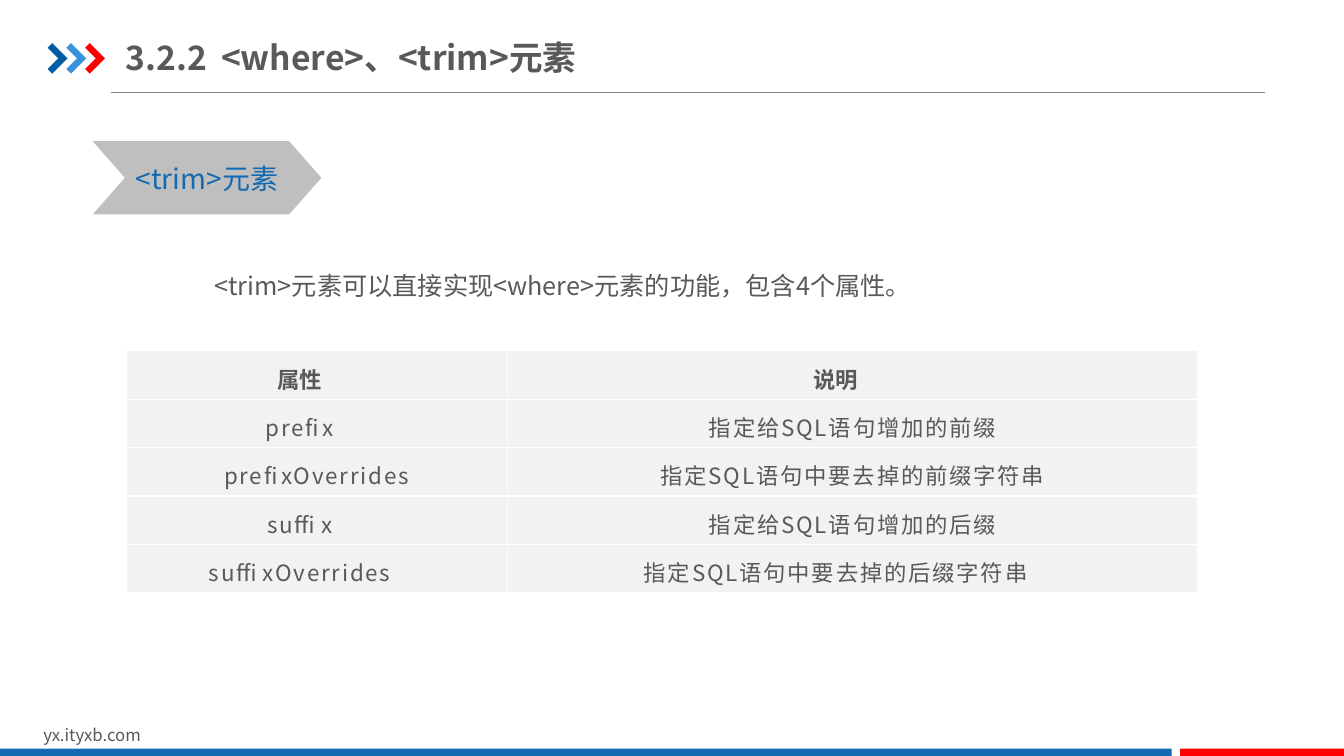
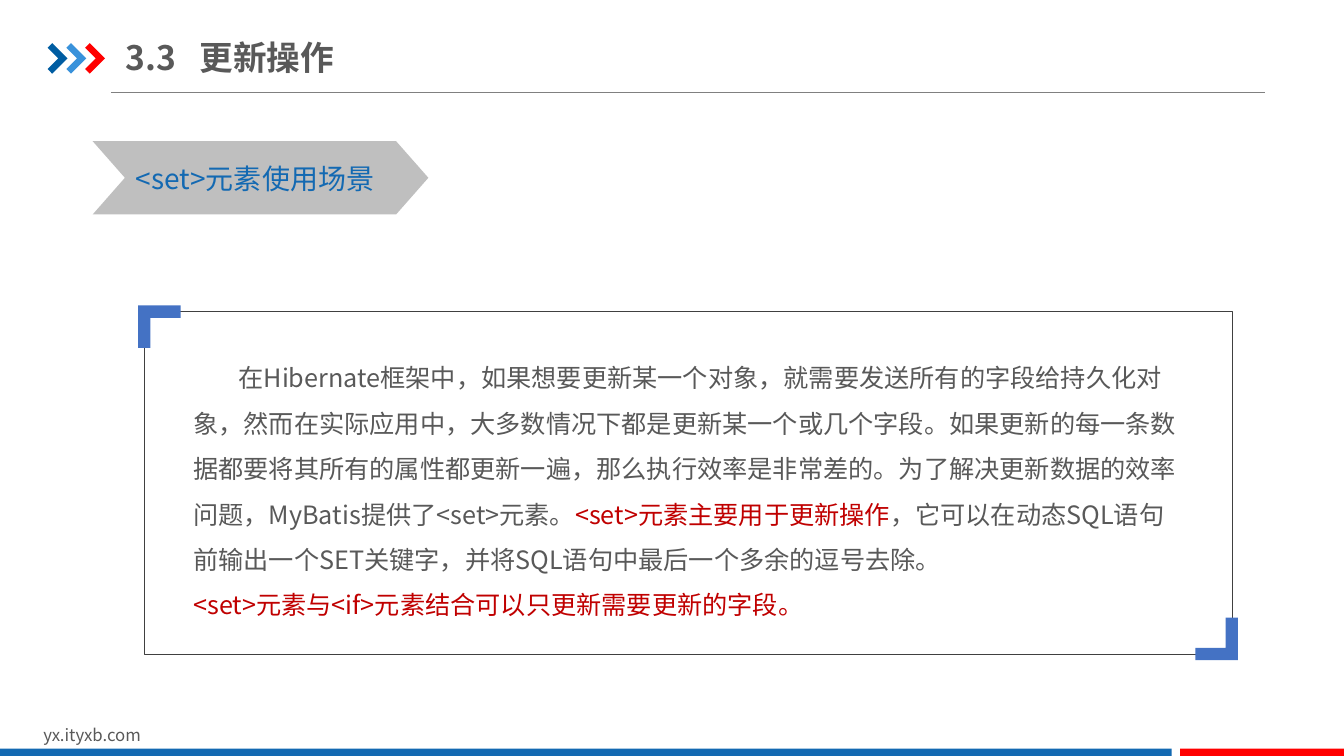
from lxml import etree
from pptx import Presentation
from pptx.dml.color import RGBColor
from pptx.enum import shapes, text
from pptx.oxml import ns
from pptx.util import Pt

FONT = "Noto Sans CJK SC"
GREY, BLUE, RED, DARK_RED, WHITE = "595959", "1369B2", "FF0000", "C00000", "FFFFFF"
PALE, TAG, RULE, FRAME, CORNER = "F2F2F2", "BFBFBF", "808080", "404040", "4472C4"
WIDTH, HEIGHT = 960, 540
INDENT = 32.3

TITLE = {"size": Pt(24), "bold": True}
TAG_LABEL = {"size": Pt(20)}
BODY = {"size": Pt(18)}
FOOTER = {"size": Pt(12)}
TABLE_HEAD = {"size": Pt(16), "bold": True}
TABLE_BODY = {"size": Pt(16), "bold": False}


def rgb(value):
    return RGBColor.from_string(value)


def set_all(target, values):
    for name, value in values.items():
        setattr(target, name, value)


def add_run(paragraph, words, style, color=GREY, spacing=None):
    run = paragraph.add_run()
    run.text = words
    set_all(run.font, {"name": FONT, **style})
    run.font.color.rgb = rgb(color)
    properties = run._r.get_or_add_rPr()
    etree.SubElement(properties, ns.qn("a:ea"), typeface=FONT)
    if spacing:
        properties.set("spc", str(round(spacing * 100)))


def add_text_box(slide, box, frame_format=None):
    frame = slide.shapes.add_textbox(*map(Pt, box)).text_frame
    set_all(frame, {"word_wrap": True, **(frame_format or {})})
    return frame


def paint(shape, fill=None, line=None, line_width=0.25):
    shape.shadow.inherit = False
    if fill:
        shape.fill.solid()
        shape.fill.fore_color.rgb = rgb(fill)
    else:
        shape.fill.background()
    if line:
        shape.line.color.rgb = rgb(line)
        shape.line.width = Pt(line_width)
    else:
        shape.line.fill.background()


def add_preset(slide, kind, box, **colors):
    shape = slide.shapes.add_shape(kind, *map(Pt, box))
    paint(shape, **colors)
    return shape


def add_polygon(slide, points, fill):
    first, *rest = [(Pt(x), Pt(y)) for x, y in points]
    builder = slide.shapes.build_freeform(*first, scale=1.0)
    builder.add_line_segments(rest, close=True)
    paint(builder.convert_to_shape(), fill)


def add_header(slide, number, name, name_offset):
    """Three arrows, a rule and a title whose name starts at a tab stop."""
    arrow = [(0, 3.3), (3.3, 0), (14.3, 10.9), (3.3, 21.8), (0, 18.5), (7.6, 10.9)]
    for index, color in enumerate(("005DA2", "3992DB", RED)):
        left, top = 34 + 13.4 * index, 30.8
        add_polygon(slide, [(left + x, top + y) for x, y in arrow], color)

    rule = slide.shapes.add_connector(
        shapes.MSO_CONNECTOR.STRAIGHT, Pt(79.2), Pt(65.8), Pt(903.6), Pt(65.8))
    rule.line.color.rgb = rgb(RULE)
    rule.line.width = Pt(0.5)
    etree.SubElement(rule._element.spPr, ns.qn("a:effectLst"))

    frame = add_text_box(slide, (90, 20.9, 814, 39.6), {
        "margin_left": 0, "margin_right": 0, "margin_top": Pt(5),
        "margin_bottom": Pt(5), "vertical_anchor": text.MSO_ANCHOR.MIDDLE})
    paragraph = frame.paragraphs[0]
    tabs = etree.SubElement(paragraph._p.get_or_add_pPr(), ns.qn("a:tabLst"))
    etree.SubElement(tabs, ns.qn("a:tab"), pos=str(Pt(name_offset)), algn="l")
    add_run(paragraph, f"{number}\t{name}", TITLE)


def add_footer(slide):
    frame = add_text_box(slide, (23.8, 514.1, 229, 21.8))
    add_run(frame.paragraphs[0], "yx.ityxb.com", FOOTER)
    band_top, red_left, gap = 534.8, 843, 6
    for left, right, color in ((0, red_left - gap, BLUE), (red_left, WIDTH, RED)):
        add_preset(slide, shapes.MSO_SHAPE.RECTANGLE,
                   (left, band_top, right - left, HEIGHT - band_top), fill=color)


def add_tag(slide, label, width):
    left, top, height = 66.2, 100.8, 52.4
    chevron = add_preset(slide, shapes.MSO_SHAPE.CHEVRON,
                         (left, top, width, height), fill=TAG)
    chevron.adjustments[0] = 0.44
    frame = add_text_box(slide, (left + 23.8, top + 10.8, width - 36, 31.7))
    add_run(frame.paragraphs[0], label, TAG_LABEL, BLUE)


def add_body(slide, box, paragraphs):
    """Each paragraph is a first-line indent and a list of (words, colour)."""
    frame = add_text_box(slide, box)
    for index, (indent, runs) in enumerate(paragraphs):
        paragraph = frame.add_paragraph() if index else frame.paragraphs[0]
        paragraph.line_spacing = 1.5
        paragraph._p.get_or_add_pPr().set("indent", str(Pt(indent)))
        for words, color in runs:
            add_run(paragraph, words, BODY, color)


def add_cell_borders(cell, color):
    properties = cell._tc.get_or_add_tcPr()
    for position, edge in enumerate(("lnL", "lnR", "lnT", "lnB")):
        line = etree.Element(ns.qn(f"a:{edge}"), w=str(Pt(1)))
        fill = etree.SubElement(line, ns.qn("a:solidFill"))
        etree.SubElement(fill, ns.qn("a:srgbClr"), val=color)
        properties.insert(position, line)


def add_attribute_table(slide, box, column_widths, rows):
    """Rows hold (words, is_shifted) cells; shifted ones sit left of centre."""
    table = slide.shapes.add_table(
        len(rows), len(column_widths), *map(Pt, box)).table
    set_all(table, {"first_row": False, "horz_banding": False})
    for column, width in zip(table.columns, column_widths):
        column.width = Pt(width)
    for row_index, row in enumerate(rows):
        for column_index, (words, is_shifted) in enumerate(row):
            cell = table.cell(row_index, column_index)
            set_all(cell, {
                "margin_left": Pt(25), "margin_right": Pt(49 if is_shifted else 25),
                "margin_top": 0, "margin_bottom": 0,
                "vertical_anchor": text.MSO_ANCHOR.MIDDLE})
            cell.fill.solid()
            cell.fill.fore_color.rgb = rgb(PALE)
            add_cell_borders(cell, WHITE)
            paragraph = cell.text_frame.paragraphs[0]
            set_all(paragraph, {"alignment": text.PP_ALIGN.CENTER,
                                "line_spacing": 1.2})
            if row_index:
                add_run(paragraph, words, TABLE_BODY, spacing=1.3)
            else:
                add_run(paragraph, words, TABLE_HEAD)


def add_corner_frame(slide, box):
    """An outlined box with a bracket on its top left and bottom right."""
    left, top, width, height = box
    add_preset(slide, shapes.MSO_SHAPE.RECTANGLE, box, line=FRAME)
    arm, thick, overhang = 30.4, 8.8, 4.3
    bracket = [(0, 0), (arm, 0), (arm, thick), (thick, thick), (thick, arm), (0, arm)]
    for x, y, sign in ((left - overhang, top - overhang, 1),
                       (left + width + overhang, top + height + overhang, -1)):
        add_polygon(slide, [(x + sign * dx, y + sign * dy) for dx, dy in bracket], CORNER)


def add_slide(presentation, number, name, name_offset, tag, tag_width):
    slide = presentation.slides.add_slide(presentation.slide_layouts[6])
    add_header(slide, number, name, name_offset)
    add_footer(slide)
    add_tag(slide, tag, tag_width)
    return slide


def add_trim_slide(presentation):
    slide = add_slide(presentation, "3.2.2", "<where>、<trim>元素", 68,
                      "<trim>元素", 163.4)
    add_body(slide, (113.8, 178.6, 741.6, 40), [
        (INDENT, [("<trim>元素可以直接实现<where>元素的功能，包含4个属性。", GREY)])])
    add_attribute_table(slide, (90, 250.6, 765.6, 172.8), (272.4, 493.2), [
        (("属性", True), ("说明", True)),
        (("prefix", True), ("指定给SQL语句增加的前缀", False)),
        (("prefixOverrides", False), ("指定SQL语句中要去掉的前缀字符串", False)),
        (("suffix", True), ("指定给SQL语句增加的后缀", False)),
        (("suffixOverrides", True), ("指定SQL语句中要去掉的后缀字符串", True)),
    ])


def add_set_slide(presentation):
    slide = add_slide(presentation, "3.3", "更新操作", 52.5,
                      "<set>元素使用场景", 239.8)
    add_body(slide, (131, 244.8, 717.8, 203.8), [
        (INDENT, [
            ("在Hibernate框架中，如果想要更新某一个对象，就需要发送所有的字段给持久化对象，"
             "然而在实际应用中，大多数情况下都是更新某一个或几个字段。"
             "如果更新的每一条数据都要将其所有的属性都更新一遍，那么执行效率是非常差的。"
             "为了解决更新数据的效率问题，MyBatis提供了<set>元素。", GREY),
            ("<set>元素主要用于更新操作", DARK_RED),
            ("，它可以在动态SQL语句前输出一个SET关键字，"
             "并将SQL语句中最后一个多余的逗号去除。", GREY)]),
        (0, [("<set>元素与<if>元素结合可以只更新需要更新的字段。", DARK_RED)]),
    ])
    add_corner_frame(slide, (103, 222.5, 777, 244.8))


def main():
    presentation = Presentation()
    set_all(presentation, {"slide_width": Pt(WIDTH), "slide_height": Pt(HEIGHT)})
    add_trim_slide(presentation)
    add_set_slide(presentation)
    presentation.save("out.pptx")


if __name__ == "__main__":
    main()
